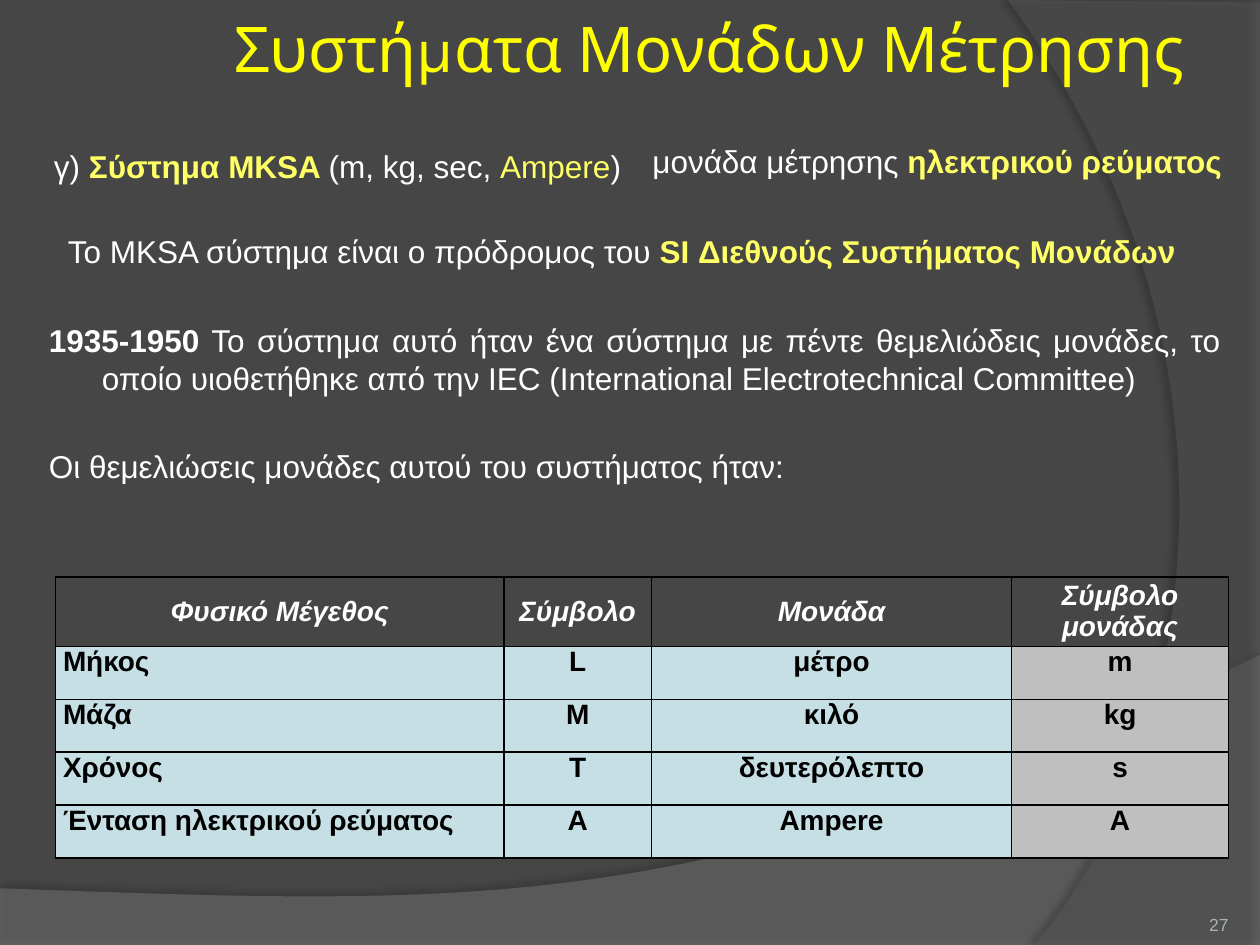
from lxml import etree
from pptx import Presentation, util as u
from pptx.dml.color import RGBColor
from pptx.enum import text as t
from pptx.oxml import parse_xml
from pptx.oxml.ns import nsdecls, qn

# Content: a paragraph is a list of (text, style) runs
TITLE = "Συστήματα Μονάδων Μέτρησης"
PAGE = "27"
MKSA = [("γ) ", ""), ("Σύστημα MKSA ", "key bold"), ("(m, kg, sec, ", ""), ("Ampere", "key"), (")", "")]
AMPERE_NOTE = [("μονάδα μέτρησης ", ""), ("ηλεκτρικού ρεύματος", "key bold")]
SI_NOTE = [("Το MKSA σύστημα είναι ο πρόδρομος του ", ""), ("SI Διεθνούς Συστήματος Μονάδων", "key bold")]
HISTORY = [
    [("1935-1950", "bold"),
     (" Το σύστημα αυτό ήταν ένα σύστημα με πέντε θεμελιώδεις μονάδες, το οποίο "
      "υιοθετήθηκε από την IEC (International Electrotechnical Committee)", "")],
    [("Οι θεμελιώσεις μονάδες αυτού του συστήματος ήταν:", "")],
]
UNITS = [
    ("Φυσικό Μέγεθος", "Σύμβολο", "Μονάδα", "Σύμβολο μονάδας"),
    ("Μήκος", "L", "μέτρο", "m"),
    ("Μάζα", "M", "κιλό", "kg"),
    ("Χρόνος", "T", "δευτερόλεπτο", "s"),
    ("Ένταση ηλεκτρικού ρεύματος", "Α", "Ampere", "A"),
]

THEME = dict(
    font="Arial", title_font="Karla", title_size=36, body_size=18, cell_size=16, page_size=10,
    back="464646", title="FFFF00", text="FFFFFF", key="FFFF66", page="A4B5B9",
    dark="000000", cell="C6DFE4", last_cell="BFBFBF", wave="7F7F7F", arc="5E5E5E",
)

# Layout: left, top, width, height as percent of the slide
WIDTH, HEIGHT = u.Inches(10), u.Inches(7.5)
BOXES = dict(
    title=(14.2, 0, 84.2, 10), page=(89.2, 93.6, 8.3, 5.33),
    mksa=(2.9, 14.93, 95.4, 7.73), ampere=(50.8, 14.4, 47.6, 5.33),
    si=(4.4, 23.87, 90.8, 5.33), history=(2.5, 33.33, 95.4, 28.93),
    table=(4.4, 61.07, 93.1, 29.73),
)
COLUMNS = (35.6, 11.7, 28.6, 17.2)
ROWS = (7.33,) + (5.6,) * 4
PARAGRAPH_GAP = 29
HANG = (0.46, -0.42)
LEFT, CENTER = t.PP_ALIGN.LEFT, t.PP_ALIGN.CENTER
RIGHT, JUSTIFY = t.PP_ALIGN.RIGHT, t.PP_ALIGN.JUSTIFY


def across(share):
    return round(WIDTH * share / 100)


def down(share):
    return round(HEIGHT * share / 100)


def color(name):
    return RGBColor.from_string(THEME[name])


def write(tf, paragraphs, size="body_size", font="font", ink="text", align=LEFT,
          anchor=t.MSO_ANCHOR.TOP, margins=(0.1, 0.05), wrap=True, hang=None, gap=0):
    """Fill a text frame with paragraphs of styled runs."""
    tf.word_wrap, tf.vertical_anchor = wrap, anchor
    tf.margin_left = tf.margin_right = u.Inches(margins[0])
    tf.margin_top = tf.margin_bottom = u.Inches(margins[1])
    for i, runs in enumerate(paragraphs):
        p = tf.add_paragraph() if i else tf.paragraphs[0]
        p.alignment = align
        if i:
            p.space_before = u.Pt(gap)
        if hang:
            pr = p._p.get_or_add_pPr()
            for key, inches in zip(("marL", "indent"), hang):
                pr.set(key, str(u.Inches(inches)))
        for words, style in runs:
            r = p.add_run()
            r.text = words
            f = r.font
            f.name, f.size = THEME[font], u.Pt(THEME[size])
            f.bold, f.italic = "bold" in style, "italic" in style
            f.color.rgb = color("key" if "key" in style else ink)


def add_text(s, box, paragraphs, **look):
    x, y, w, h = BOXES[box]
    sp = s.shapes.add_textbox(across(x), down(y), across(w), down(h))
    write(sp.text_frame, paragraphs, **look)


def bezier(a, b, c, d, steps=60):
    """Points along a cubic curve, after its start."""
    for i in range(1, steps + 1):
        k = i / steps
        yield tuple((1 - k) ** 3 * m + 3 * k * (1 - k) ** 2 * n + 3 * k * k * (1 - k) * o + k ** 3 * q
                    for m, n, o, q in zip(a, b, c, d))


def add_swoosh(s, corners, curve, fill, opacity, shadow):
    """Translucent background band with one curved side."""
    points = [(across(x), down(y)) for x, y in [*corners, *bezier(corners[-1], *curve)]]
    builder = s.shapes.build_freeform(*points[0])
    builder.add_line_segments(points[1:], close=True)
    sp = builder.convert_to_shape()
    sp.shadow.inherit = False
    sp.fill.solid()
    sp.fill.fore_color.rgb = color(fill)
    sp.line.fill.background()
    rgb = sp._element.spPr.find(qn("a:solidFill"))[0]
    etree.SubElement(rgb, qn("a:alpha")).set("val", str(opacity * 1000))
    alpha, blur, distance, angle = shadow
    sp._element.spPr.find(qn("a:effectLst")).append(parse_xml(
        f'<a:outerShdw {nsdecls("a")} blurRad="{u.Pt(blur)}" dist="{u.Pt(distance)}" '
        f'dir="{angle * 60000}" rotWithShape="0"><a:srgbClr val="{THEME["dark"]}">'
        f'<a:alpha val="{alpha * 1000}"/></a:srgbClr></a:outerShdw>'))


def add_borders(cell):
    pr = cell._tc.get_or_add_tcPr()
    for i, side in enumerate(("lnL", "lnR", "lnT", "lnB")):
        pr.insert(i, parse_xml(
            f'<a:{side} {nsdecls("a")} w="{u.Pt(1)}"><a:solidFill>'
            f'<a:srgbClr val="{THEME["dark"]}"/></a:solidFill></a:{side}>'))


def add_units(s):
    x, y, w, h = BOXES["table"]
    table = s.shapes.add_table(len(ROWS), len(COLUMNS), across(x), down(y), across(w), down(h)).table
    table.first_row = table.horz_banding = False
    for column, share in zip(table.columns, COLUMNS):
        column.width = across(share)
    for row, share in zip(table.rows, ROWS):
        row.height = down(share)
    for i, values in enumerate(UNITS):
        for j, value in enumerate(values):
            cell, header = table.cell(i, j), i == 0
            write(cell.text_frame, [[(value, "bold italic" if header else "bold")]], size="cell_size",
                  ink="text" if header else "dark", align=CENTER if header or j else LEFT)
            cell.margin_left = cell.margin_right = u.Inches(0.06)
            cell.margin_top = cell.margin_bottom = 0
            cell.vertical_anchor = t.MSO_ANCHOR.MIDDLE if header else t.MSO_ANCHOR.TOP
            if header:
                cell.fill.background()
            else:
                cell.fill.solid()
                cell.fill.fore_color.rgb = color("last_cell" if j == len(COLUMNS) - 1 else "cell")
            add_borders(cell)


def main():
    prs = Presentation()
    prs.slide_width, prs.slide_height = WIDTH, HEIGHT
    s = prs.slides.add_slide(prs.slide_layouts[6])

    # Background
    s.background.fill.solid()
    s.background.fill.fore_color.rgb = color("back")
    add_swoosh(s, [(0, 94), (0, 100), (100, 100), (100, 69.33)],
               [(55.9, 97.2), (39.1, 95.87), (0, 94)], "wave", 45, (35, 4, 3.5, 270))
    add_swoosh(s, [(100, 0.27), (100, 100), (82.1, 100)],
               [(93.5, 82.53), (101.8, 40), (80, 0)], "arc", 40, (45, 4, 4, 180))

    # Title and page number
    add_text(s, "title", [[(TITLE, "")]], size="title_size", font="title_font", ink="title",
             align=CENTER, anchor=t.MSO_ANCHOR.MIDDLE, margins=(0.05, 0.05))
    add_text(s, "page", [[(PAGE, "")]], size="page_size", ink="page", align=RIGHT,
             anchor=t.MSO_ANCHOR.BOTTOM, margins=(0, 0))

    # Body
    add_text(s, "mksa", [MKSA], align=JUSTIFY, hang=HANG)
    add_text(s, "ampere", [AMPERE_NOTE], wrap=False)
    add_text(s, "si", [SI_NOTE])
    add_text(s, "history", HISTORY, align=JUSTIFY, hang=HANG, gap=PARAGRAPH_GAP)
    add_units(s)

    prs.save("out.pptx")


if __name__ == "__main__":
    main()
